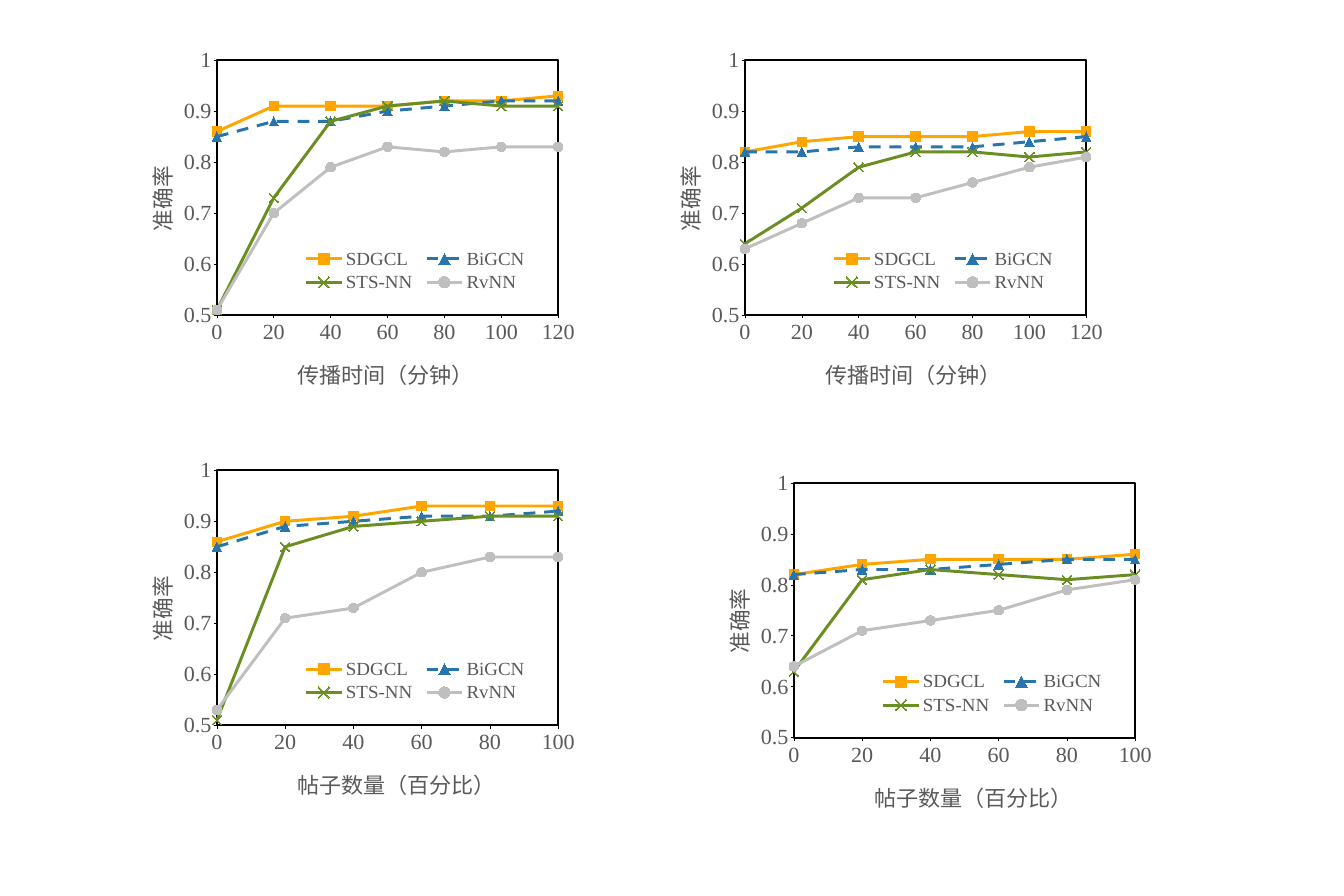
from dataclasses import dataclass

import lxml.etree
import pptx
import pptx.chart.axis
import pptx.chart.chart
import pptx.chart.data
import pptx.dml.color
import pptx.enum.chart
import pptx.enum.dml
import pptx.oxml
import pptx.oxml.ns
import pptx.slide
import pptx.text.text
import pptx.util

CHART_WIDTH, CHART_HEIGHT = 7.79, 6.14
GREY, BLACK = "595959", "000000"
LATIN_FONT, CHINESE_FONT = "Times New Roman", "Noto Sans CJK SC"
MARKERS = pptx.enum.chart.XL_MARKER_STYLE


@dataclass
class Method:
    name: str
    color: str
    marker: int
    dashed: bool = False
    hollow: bool = False


@dataclass
class Panel:
    left: float
    top: float
    title: str
    values: list[list[float]]


METHODS = [
    Method("SDGCL", "FFA500", MARKERS.SQUARE),
    Method("BiGCN", "2775AC", MARKERS.TRIANGLE, dashed=True),
    Method("STS-NN", "6B8E22", MARKERS.X, hollow=True),
    Method("RvNN", "BFBFBF", MARKERS.CIRCLE),
]
TIME_TITLE = "传播时间（分钟）"
POSTS_TITLE = "帖子数量（百分比）"
PANELS = [
    Panel(2.31, 0.83, TIME_TITLE, [
        [0.86, 0.91, 0.91, 0.91, 0.92, 0.92, 0.93],
        [0.85, 0.88, 0.88, 0.9, 0.91, 0.92, 0.92],
        [0.51, 0.73, 0.88, 0.91, 0.92, 0.91, 0.91],
        [0.51, 0.7, 0.79, 0.83, 0.82, 0.83, 0.83],
    ]),
    Panel(11.59, 0.83, TIME_TITLE, [
        [0.82, 0.84, 0.85, 0.85, 0.85, 0.86, 0.86],
        [0.82, 0.82, 0.83, 0.83, 0.83, 0.84, 0.85],
        [0.64, 0.71, 0.79, 0.82, 0.82, 0.81, 0.82],
        [0.63, 0.68, 0.73, 0.73, 0.76, 0.79, 0.81],
    ]),
    Panel(2.31, 8.04, POSTS_TITLE, [
        [0.86, 0.9, 0.91, 0.93, 0.93, 0.93],
        [0.85, 0.89, 0.9, 0.91, 0.91, 0.92],
        [0.51, 0.85, 0.89, 0.9, 0.91, 0.91],
        [0.53, 0.71, 0.73, 0.8, 0.83, 0.83],
    ]),
    Panel(12.45, 8.26, POSTS_TITLE, [
        [0.82, 0.84, 0.85, 0.85, 0.85, 0.86],
        [0.82, 0.83, 0.83, 0.84, 0.85, 0.85],
        [0.63, 0.81, 0.83, 0.82, 0.81, 0.82],
        [0.64, 0.71, 0.73, 0.75, 0.79, 0.81],
    ]),
]


def rgb(color: str) -> pptx.dml.color.RGBColor:
    return pptx.dml.color.RGBColor.from_string(color)


def format_font(font: pptx.text.text.Font, name: str, size: float, color: str) -> None:
    font.name = name
    font.size = pptx.util.Pt(size)
    font.bold = False
    font.color.rgb = rgb(color)


def set_layout(parent: lxml.etree.ElementBase, index: int, inner: bool = False,
               **fractions: float) -> None:
    for layout in parent.findall(pptx.oxml.ns.qn("c:layout")):
        parent.remove(layout)
    settings = {"layoutTarget": "inner"} if inner else {}
    settings |= {"xMode": "edge", "yMode": "edge"} | fractions
    layout = lxml.etree.Element(pptx.oxml.ns.qn("c:layout"))
    manual = lxml.etree.SubElement(layout, pptx.oxml.ns.qn("c:manualLayout"))
    for tag, value in settings.items():
        lxml.etree.SubElement(manual, pptx.oxml.ns.qn(f"c:{tag}")).set("val", str(value))
    parent.insert(index, layout)


def write_axis_title(axis: pptx.chart.axis._BaseAxis, text: str, *, x: float, y: float,
                     rotation: int = 0, size: float = 28, color: str = GREY) -> None:
    title = axis.axis_title
    paragraph = title.text_frame.paragraphs[0]
    run = paragraph.add_run()
    run.text = text
    format_font(run.font, CHINESE_FONT, size, color)
    east_asian = lxml.etree.SubElement(run._r.get_or_add_rPr(), pptx.oxml.ns.qn("a:ea"))
    east_asian.set("typeface", CHINESE_FONT)
    body = title._element.find(".//" + pptx.oxml.ns.qn("a:bodyPr"))
    body.set("rot", str(rotation * 60000))
    body.set("vert", "horz")
    set_layout(title._element, 1, x=x, y=y)


def format_axes(chart: pptx.chart.chart.Chart, title: str) -> None:
    for axis in (chart.category_axis, chart.value_axis):
        axis.has_major_gridlines = False
        axis.major_tick_mark = pptx.enum.chart.XL_TICK_MARK.OUTSIDE
        axis.minor_tick_mark = pptx.enum.chart.XL_TICK_MARK.NONE
        axis.format.line.color.rgb = rgb(BLACK)
        axis.format.line.width = pptx.util.Pt(0.75)
        format_font(axis.tick_labels.font, LATIN_FONT, 28, GREY)
    value_axis = chart.value_axis
    value_axis.minimum_scale, value_axis.maximum_scale = 0.5, 1
    value_axis.major_unit = 0.1
    value_axis.tick_labels.number_format = "General"
    value_axis.tick_labels.number_format_is_linked = False
    element = value_axis._element
    for crossing in element.findall(pptx.oxml.ns.qn("c:crossBetween")):
        element.remove(crossing)
    crossing = lxml.etree.Element(pptx.oxml.ns.qn("c:crossBetween"), val="midCat")
    element.find(pptx.oxml.ns.qn("c:crosses")).addnext(crossing)
    write_axis_title(chart.category_axis, title, x=0.367, y=0.895)
    write_axis_title(value_axis, "准确率", x=0.017, y=0.34, rotation=-90)


def format_series(chart: pptx.chart.chart.Chart) -> None:
    for series, method in zip(chart.plots[0].series, METHODS):
        series.smooth = False
        line = series.format.line
        line.color.rgb = rgb(method.color)
        line.width = pptx.util.Pt(3.75)
        if method.dashed:
            line.dash_style = pptx.enum.dml.MSO_LINE.DASH
        marker = series.marker
        marker.style, marker.size = method.marker, 12
        marker.format.line.color.rgb = rgb(method.color)
        if method.hollow:
            marker.format.fill.background()
        else:
            marker.format.fill.solid()
            marker.format.fill.fore_color.rgb = rgb(method.color)


def frame_plot(chart: pptx.chart.chart.Chart) -> None:
    plot_area = chart._chartSpace.chart.plotArea
    set_layout(plot_area, 0, inner=True, x=0.193, y=0.038, w=0.771, h=0.748)
    plot_area.append(pptx.oxml.parse_xml(
        f'<c:spPr {pptx.oxml.ns.nsdecls("c", "a")}><a:noFill/><a:ln w="28575">'
        f'<a:solidFill><a:srgbClr val="{BLACK}"/></a:solidFill></a:ln></c:spPr>'))


def add_panel(slide: pptx.slide.Slide, panel: Panel) -> None:
    data = pptx.chart.data.CategoryChartData()
    data.categories = [str(20 * step) for step in range(len(panel.values[0]))]
    for method, values in zip(METHODS, panel.values):
        data.add_series(method.name, values)
    position = (panel.left, panel.top, CHART_WIDTH, CHART_HEIGHT)
    chart = slide.shapes.add_chart(
        pptx.enum.chart.XL_CHART_TYPE.LINE_MARKERS,
        *map(pptx.util.Inches, position), data).chart
    chart.has_title = False
    format_font(chart.font, "Lato", 10, BLACK)
    format_axes(chart, panel.title)
    format_series(chart)
    frame_plot(chart)
    chart.has_legend = True
    legend = chart.legend
    legend.position = pptx.enum.chart.XL_LEGEND_POSITION.RIGHT
    legend.include_in_layout = False
    format_font(legend.font, LATIN_FONT, 24, GREY)
    set_layout(legend._element, 1, x=0.376, y=0.583, w=0.53, h=0.145)


def main() -> None:
    presentation = pptx.Presentation()
    presentation.slide_width = pptx.util.Inches(23.62)
    presentation.slide_height = pptx.util.Inches(15.75)
    slide = presentation.slides.add_slide(presentation.slide_layouts[6])
    for panel in PANELS:
        add_panel(slide, panel)
    presentation.save("out.pptx")


if __name__ == "__main__":
    main()
